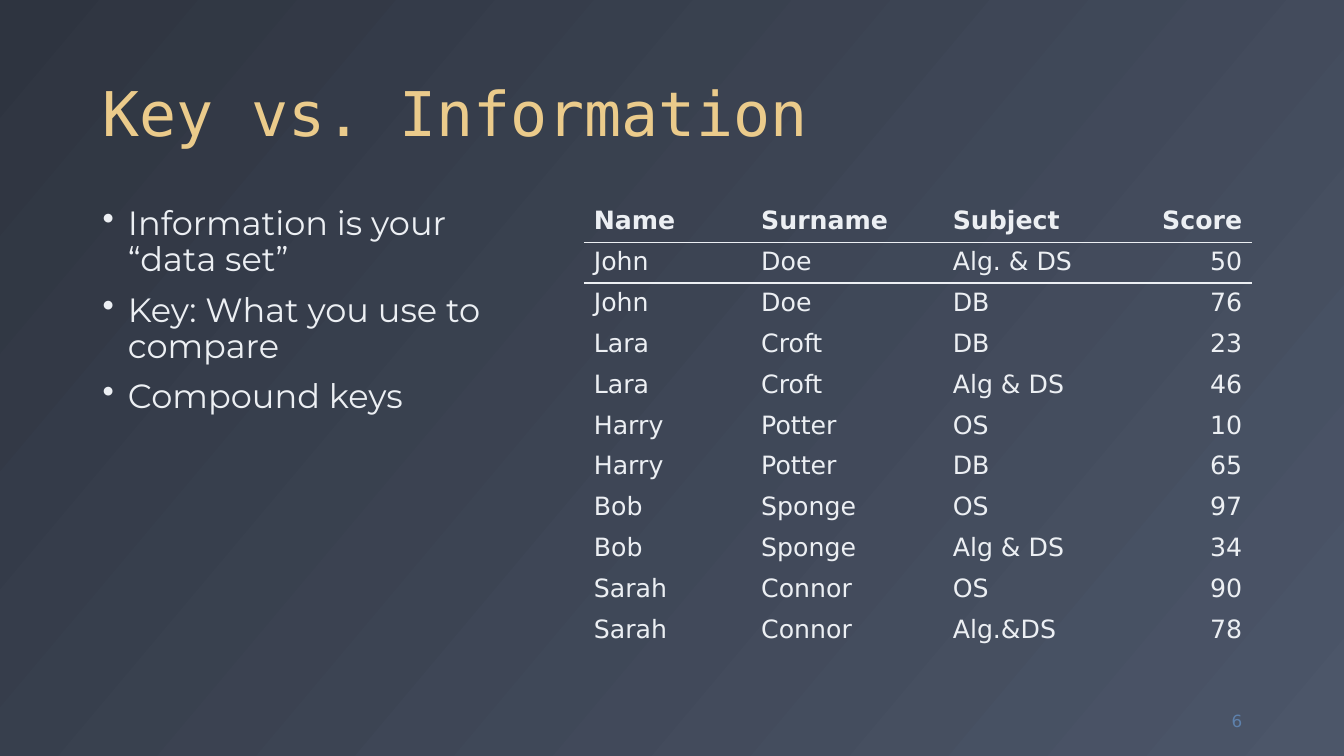
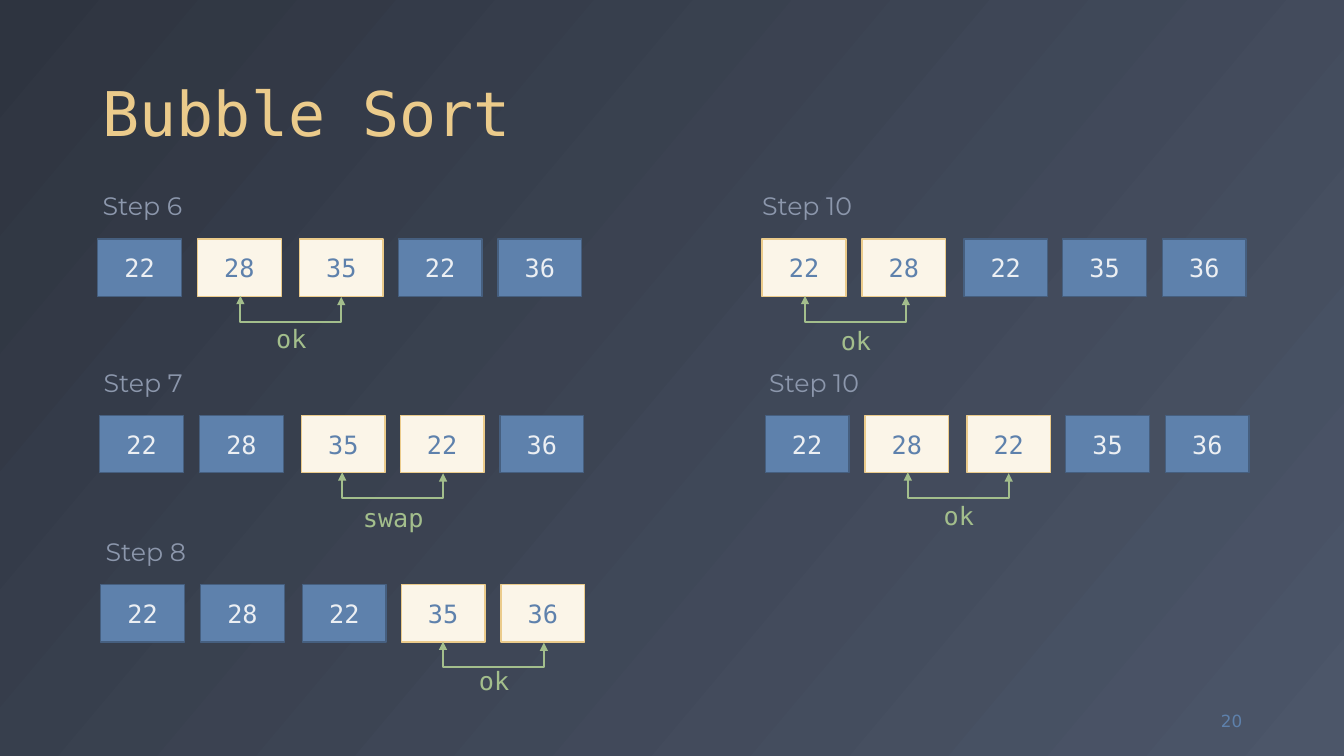
from pptx import Presentation
from pptx.dml.color import RGBColor
from pptx.enum.shapes import MSO_CONNECTOR, MSO_SHAPE
from pptx.enum.text import MSO_ANCHOR as ANCHOR, PP_ALIGN as ALIGN
from pptx.oxml import parse_xml
from pptx.oxml.ns import nsdecls, qn
from pptx.oxml.xmlchemy import OxmlElement
from pptx.util import Inches, Pt

NIGHT = RGBColor(0x2E, 0x34, 0x40)
SLATE = RGBColor(0x4C, 0x56, 0x69)
SNOW = RGBColor(0xEC, 0xEF, 0xF3)
GOLD = RGBColor(0xEB, 0xCB, 0x8B)
CREAM = RGBColor(0xFB, 0xF5, 0xE8)
BLUE = RGBColor(0x5E, 0x81, 0xAC)
DARK_BLUE = RGBColor(0x46, 0x5F, 0x7F)
GREY = RGBColor(0x8C, 0x97, 0xAC)
GREEN = RGBColor(0xA3, 0xBE, 0x8C)

SANS = "DejaVu Sans"
MONO = "DejaVu Sans Mono"
BODY = "Montserrat"

prs = Presentation()
prs.slide_width, prs.slide_height = Inches(13.33), Inches(7.5)


def write(frame, text, size, font, color, align=ALIGN.LEFT, anchor=ANCHOR.TOP):
    """Fill a text frame and format all of its paragraphs alike."""
    frame.text = text
    frame.word_wrap = True
    frame.vertical_anchor = anchor
    for paragraph in frame.paragraphs:
        paragraph.alignment = align
        for run in paragraph.runs:
            run.font.size, run.font.name = Pt(size), font
            run.font.color.rgb = color
    return frame


def new_slide(title, number):
    """Add a slide with the shared background, title and page number."""
    slide = prs.slides.add_slide(prs.slide_layouts[6])
    backdrop = slide.background.fill
    backdrop.gradient()
    backdrop.gradient_angle = 320
    for stop, color in zip(backdrop.gradient_stops, (NIGHT, SLATE)):
        stop.color.rgb = color
    heading = slide.shapes.add_textbox(Inches(0.92), Inches(0.18), Inches(11.5), Inches(1.36))
    write(heading.text_frame, title, 44, MONO, GOLD, anchor=ANCHOR.BOTTOM)
    heading.text_frame.paragraphs[0].line_spacing = 0.9
    page = slide.shapes.add_textbox(Inches(11.59), Inches(6.95), Inches(0.83), Inches(0.4))
    write(page.text_frame, str(number), 12, SANS, BLUE, ALIGN.RIGHT, ANCHOR.MIDDLE)
    return slide


# Slide 1: bullets
slide = new_slide("Key vs. Information", 6)
points = slide.shapes.add_textbox(Inches(0.92), Inches(2), Inches(4.38), Inches(4.76))
write(points.text_frame,
      "Information is your “data set”\nKey: What you use to compare\nCompound keys",
      24, BODY, SNOW)
for i, point in enumerate(points.text_frame.paragraphs):
    properties = point._p.get_or_add_pPr()
    properties.set("marL", str(Inches(0.25)))
    properties.set("indent", str(-Inches(0.25)))
    bullet = OxmlElement("a:buChar")
    bullet.set("char", "•")
    properties.append(bullet)
    point.line_spacing = 0.9
    if i > 0:
        point.space_before = Pt(10)

# Slide 1: score table
RECORDS = [
    ("Name", "Surname", "Subject", "Score"),
    ("John", "Doe", "Alg. & DS", "50"),
    ("John", "Doe", "DB", "76"),
    ("Lara", "Croft", "DB", "23"),
    ("Lara", "Croft", "Alg & DS", "46"),
    ("Harry", "Potter", "OS", "10"),
    ("Harry", "Potter", "DB", "65"),
    ("Bob", "Sponge", "OS", "97"),
    ("Bob", "Sponge", "Alg & DS", "34"),
    ("Sarah", "Connor", "OS", "90"),
    ("Sarah", "Connor", "Alg.&DS", "78"),
]
NO_STYLE = "{2D5ABB26-0587-4C30-8999-92F81FD0307C}"
scores = slide.shapes.add_table(len(RECORDS), 4, Inches(5.79), Inches(2),
                                Inches(6.63), Inches(4.46)).table
scores.horz_banding = False
scores._tbl.tblPr.find(qn("a:tableStyleId")).text = NO_STYLE
for column, width in zip(scores.columns, (1.66, 1.9, 1.74, 1.33)):
    column.width = Inches(width)
for r, record in enumerate(RECORDS):
    for c, value in enumerate(record):
        cell = scores.cell(r, c)
        cell.fill.background()
        write(cell.text_frame, value, 18, SANS, SNOW, ALIGN.RIGHT if c == 3 else ALIGN.LEFT)
        cell.text_frame.paragraphs[0].runs[0].font.bold = r == 0
        if r < 2:  # rule between header and body
            side = "lnB" if r == 0 else "lnT"
            cell._tc.get_or_add_tcPr().insert(0, parse_xml(
                f'<a:{side} {nsdecls("a")} w="{Pt(1.5)}"><a:solidFill>'
                f'<a:srgbClr val="{SNOW}"/></a:solidFill></a:{side}>'))

# Slide 2: sorting steps
slide = new_slide("Bubble Sort", 20)
BOX_W, BOX_H = 0.83, 0.57
BOX_OFFSETS = (0, 0.99, 2, 2.98, 3.97)
PAIR_PITCH = 0.99
# caption, caption left, boxes left, boxes top, values, first compared, verdict, verdict drop
STEPS = [
    ("Step 6", 0.92, 0.97, 2.37, (22, 28, 35, 22, 36), 1, "ok", 0.79),
    ("Step 7", 0.93, 0.99, 4.12, (22, 28, 35, 22, 36), 2, "swap", 0.81),
    ("Step 8", 0.95, 1, 5.8, (22, 28, 22, 35, 36), 3, "ok", 0.75),
    ("Step 10", 7.46, 7.56, 2.37, (22, 28, 22, 35, 36), 0, "ok", 0.81),
    ("Step 10", 7.53, 7.59, 4.12, (22, 28, 22, 35, 36), 1, "ok", 0.79),
]
for caption, caption_left, left, top, values, first, verdict, drop in STEPS:
    step = slide.shapes.add_textbox(Inches(caption_left), Inches(top - 0.53),
                                    Inches(1.11), Inches(0.4))
    write(step.text_frame, caption, 18, BODY, GREY).word_wrap = False

    for i, (value, offset) in enumerate(zip(values, BOX_OFFSETS)):
        compared = i in (first, first + 1)
        box = slide.shapes.add_shape(MSO_SHAPE.RECTANGLE, Inches(left + offset), Inches(top),
                                     Inches(BOX_W), Inches(BOX_H))
        box.shadow.inherit = False
        box.fill.solid()
        box.fill.fore_color.rgb = CREAM if compared else BLUE
        box.line.color.rgb = GOLD if compared else DARK_BLUE
        box.line.width = Pt(1)
        write(box.text_frame, str(value), 18, MONO, BLUE if compared else SNOW,
              ALIGN.CENTER, ANCHOR.MIDDLE)

    # Bracket below the compared pair: a thin elbow turned by 90 degrees
    bracket_left = left + 0.43 + PAIR_PITCH * first
    bracket_x, bracket_y = bracket_left + 0.49, top + BOX_H - 0.5
    bracket = slide.shapes.add_connector(
        MSO_CONNECTOR.ELBOW, Inches(bracket_x + 0.01), Inches(bracket_y),
        Inches(bracket_x), Inches(bracket_y + 1))
    bracket.line.color.rgb = GREEN
    bracket.line.width = Pt(1.5)
    for end in ("a:headEnd", "a:tailEnd"):
        arrowhead = OxmlElement(end)
        arrowhead.set("type", "triangle")
        bracket.line._get_or_add_ln().append(arrowhead)
    outline = bracket._element.spPr
    outline.append(OxmlElement("a:effectLst"))
    outline.find(qn("a:xfrm")).set("rot", "5400000")
    depth = OxmlElement("a:gd")
    depth.set("name", "adj1")
    depth.set("fmla", "val -2500000")
    outline.find(qn("a:prstGeom")).get_or_add_avLst().append(depth)

    result = slide.shapes.add_textbox(Inches(bracket_left - 0.08), Inches(top + drop),
                                      Inches(1.16), Inches(0.4))
    write(result.text_frame, verdict, 18, MONO, GREEN, ALIGN.CENTER)

prs.save("out.pptx")
